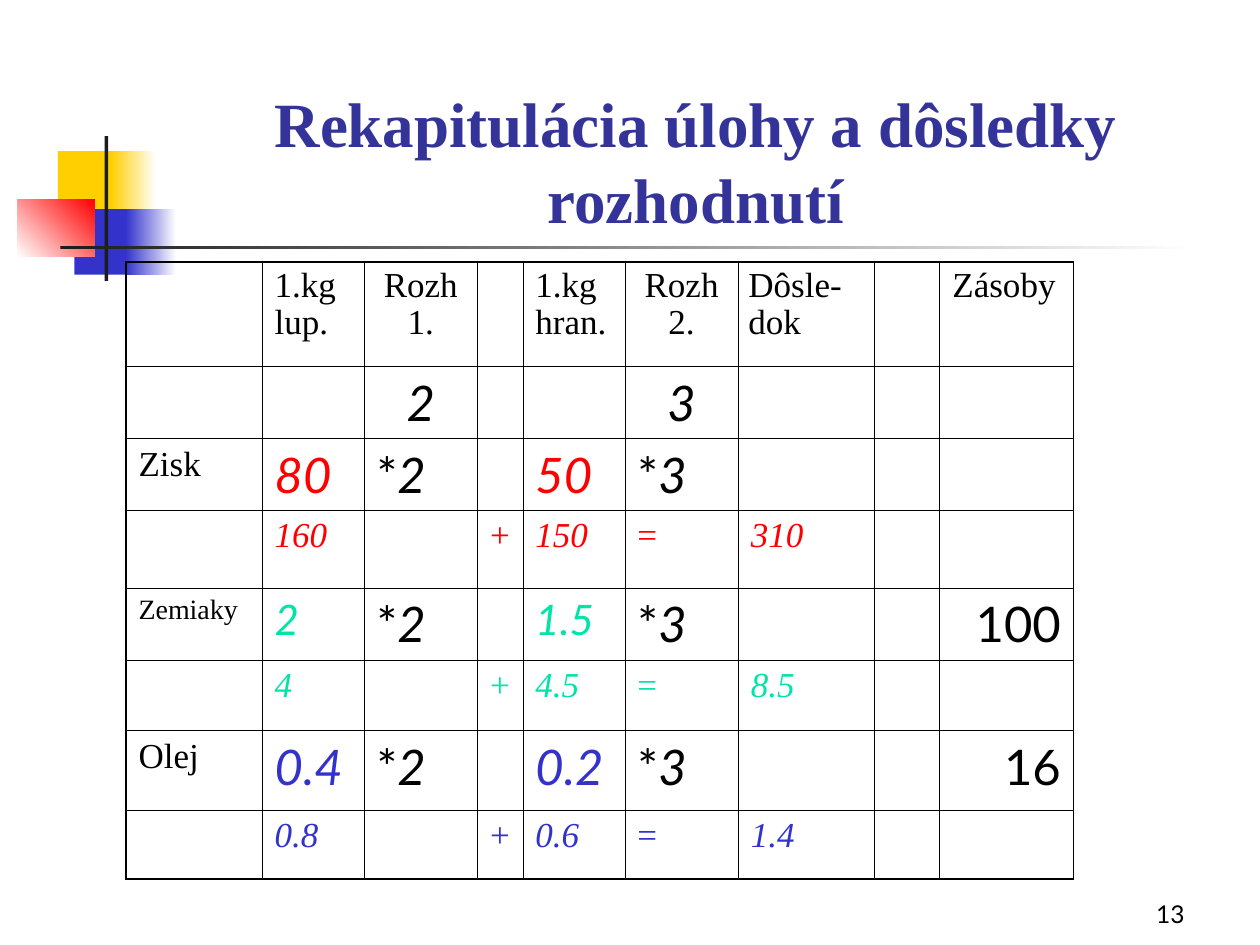
"""Build the slide that recaps the task and the consequences of the decisions."""
from lxml import etree
from pptx import Presentation
from pptx.dml.color import RGBColor
from pptx.enum import shapes, text
from pptx.oxml import ns
from pptx.util import Inches, Pt

SERIF, SANS = "Times New Roman", "Lato"
BLACK, WHITE, RED, GREEN, BLUE, YELLOW, DARK, NAVY = (
    "000000", "FFFFFF", "FF0000", "00E4A8", "3333CC", "FFCF01", "1C1C1C", "333399")
LEFT, CENTER, RIGHT = text.PP_ALIGN.LEFT, text.PP_ALIGN.CENTER, text.PP_ALIGN.RIGHT

TITLE = "Rekapitulácia úlohy a dôsledky rozhodnutí"
PAGE_NUMBER = "13"
DECORATIONS = [
    ((0.46, 1.2, 0.48, 0.52), [YELLOW], 0),
    ((0.88, 1.2, 0.36, 0.52), [YELLOW, WHITE], 0),
    ((0.59, 1.66, 0.46, 0.52), [BLUE], 0),
    ((1, 1.66, 0.4, 0.52), [BLUE, WHITE], 0),
    ((0.14, 1.58, 0.61, 0.46), [WHITE, RED], 45),
    ((0.83, 1.08, 0.03, 1.15), [DARK], 0),
    ((0.48, 1.95, 9, 0.03), [DARK, WHITE], 0),
]
HEADERS = ["", "1.kg lup.", "Rozh 1.", "", "1.kg hran.", "Rozh 2.", "Dôsle-dok", "", "Zásoby"]
DECISIONS = {2: "2", 5: "3"}
RESOURCES = [
    ("Zisk", 20, RED, 28, ("80", "50"), ("160", "150", "310"), ""),
    ("Zemiaky", 16, GREEN, 24, ("2", "1.5"), ("4", "4.5", "8.5"), "100"),
    ("Olej", 20, BLUE, 28, ("0.4", "0.2"), ("0.8", "0.6", "1.4"), "16"),
]
COLUMN_WIDTHS = [1.08, 0.81, 0.9, 0.36, 0.81, 0.9, 1.08, 0.52, 1.06]
ROW_HEIGHTS = [0.83, 0.57, 0.57, 0.62, 0.57, 0.56, 0.63, 0.55]
INNER_LINE, OUTER_LINE = 0.45, 1.08


def color(value):
    return RGBColor.from_string(value)


def style(font, size, name, value, italic=False, bold=False):
    font.size, font.name, font.italic, font.bold = Pt(size), name, italic, bold
    font.color.rgb = color(value)


def add_decoration(slide, box, colors, angle):
    shape = slide.shapes.add_shape(shapes.MSO_SHAPE.RECTANGLE, *map(Inches, box))
    shape.shadow.inherit = False
    shape.line.fill.background()
    if len(colors) == 1:
        shape.fill.solid()
        shape.fill.fore_color.rgb = color(colors[0])
        return
    shape.fill.gradient()
    shape.fill.gradient_angle = angle
    for stop, value in zip(shape.fill.gradient_stops, colors):
        stop.color.rgb = color(value)


def add_text(slide, box, content, alignment, **font):
    frame = slide.shapes.add_textbox(*map(Inches, box)).text_frame
    frame.word_wrap = True
    frame.vertical_anchor = text.MSO_ANCHOR.BOTTOM
    paragraph = frame.paragraphs[0]
    paragraph.text, paragraph.alignment = content, alignment
    style(paragraph.font, **font)


def set_borders(cell, widths):
    properties = cell._tc.get_or_add_tcPr()
    for index, (side, width) in enumerate(zip("LRTB", widths)):
        line = etree.Element(ns.qn(f"a:ln{side}"), w=str(Pt(width)))
        fill = etree.SubElement(line, ns.qn("a:solidFill"))
        etree.SubElement(fill, ns.qn("a:srgbClr"), val=BLACK)
        properties.insert(index, line)


def fill_cell(cell, content, size=20, name=SERIF, value=BLACK, italic=False, alignment=LEFT):
    paragraph = cell.text_frame.paragraphs[0]
    paragraph.alignment = alignment
    if content.startswith("*"):
        for part in content:
            run = paragraph.add_run()
            run.text = part
            style(run.font, size, name, value, part != "*")
    else:
        paragraph.text = content
        style(paragraph.font, size, name, value, italic)


def add_table(slide):
    rows, columns = len(ROW_HEIGHTS), len(COLUMN_WIDTHS)
    table = slide.shapes.add_table(rows, columns, Inches(1), Inches(2.08),
                                   Inches(sum(COLUMN_WIDTHS)), Inches(sum(ROW_HEIGHTS))).table
    table.first_row = table.horz_banding = False
    for column, width in zip(table.columns, COLUMN_WIDTHS):
        column.width = Inches(width)
    for row, height in zip(table.rows, ROW_HEIGHTS):
        row.height = Inches(height)
    for r in range(rows):
        for c in range(columns):
            edges = (c == 0, c == columns - 1, r == 0, r == rows - 1)
            table.cell(r, c).fill.background()
            set_borders(table.cell(r, c), [OUTER_LINE if edge else INNER_LINE for edge in edges])
    return table


def fill_table(table):
    for column, header in enumerate(HEADERS):
        if header:
            cell = table.cell(0, column)
            fill_cell(cell, header, alignment=CENTER if column in DECISIONS else LEFT)
            cell.text_frame.paragraphs[0].line_spacing = 0.95
    table.cell(0, HEADERS.index("Dôsle-dok")).margin_left = Inches(0.08)
    for column, decision in DECISIONS.items():
        fill_cell(table.cell(1, column), decision, 28, SANS, italic=True, alignment=CENTER)
    for index, (label, label_size, value, size, rates, results, stock) in enumerate(RESOURCES):
        row = 2 + 2 * index
        fill_cell(table.cell(row, 0), label, label_size)
        for (column, decision), rate in zip(DECISIONS.items(), rates):
            fill_cell(table.cell(row, column - 1), rate, size, SANS, value, True)
            fill_cell(table.cell(row, column), "*" + decision, 28, SANS)
        if stock:
            fill_cell(table.cell(row, 8), stock, 28, SANS, alignment=RIGHT)
        for column, result in zip((1, 4, 6), results):
            fill_cell(table.cell(row + 1, column), result, value=value, italic=True)
        for column, sign in ((3, "+"), (5, "=")):
            fill_cell(table.cell(row + 1, column), sign, value=value)


def main():
    presentation = Presentation()
    presentation.slide_width, presentation.slide_height = Inches(10), Inches(7.5)
    slide = presentation.slides.add_slide(presentation.slide_layouts[6])
    for box, colors, angle in DECORATIONS:
        add_decoration(slide, box, colors, angle)
    add_text(slide, (7.42, 6.92, 2.08, 0.5), PAGE_NUMBER, RIGHT, size=14, name=SANS, value=BLACK)
    add_text(slide, (1.26, 0.67, 8.52, 1.25), TITLE, CENTER,
             size=36, name=SERIF, value=NAVY, bold=True)
    fill_table(add_table(slide))
    presentation.save("out.pptx")


if __name__ == "__main__":
    main()
